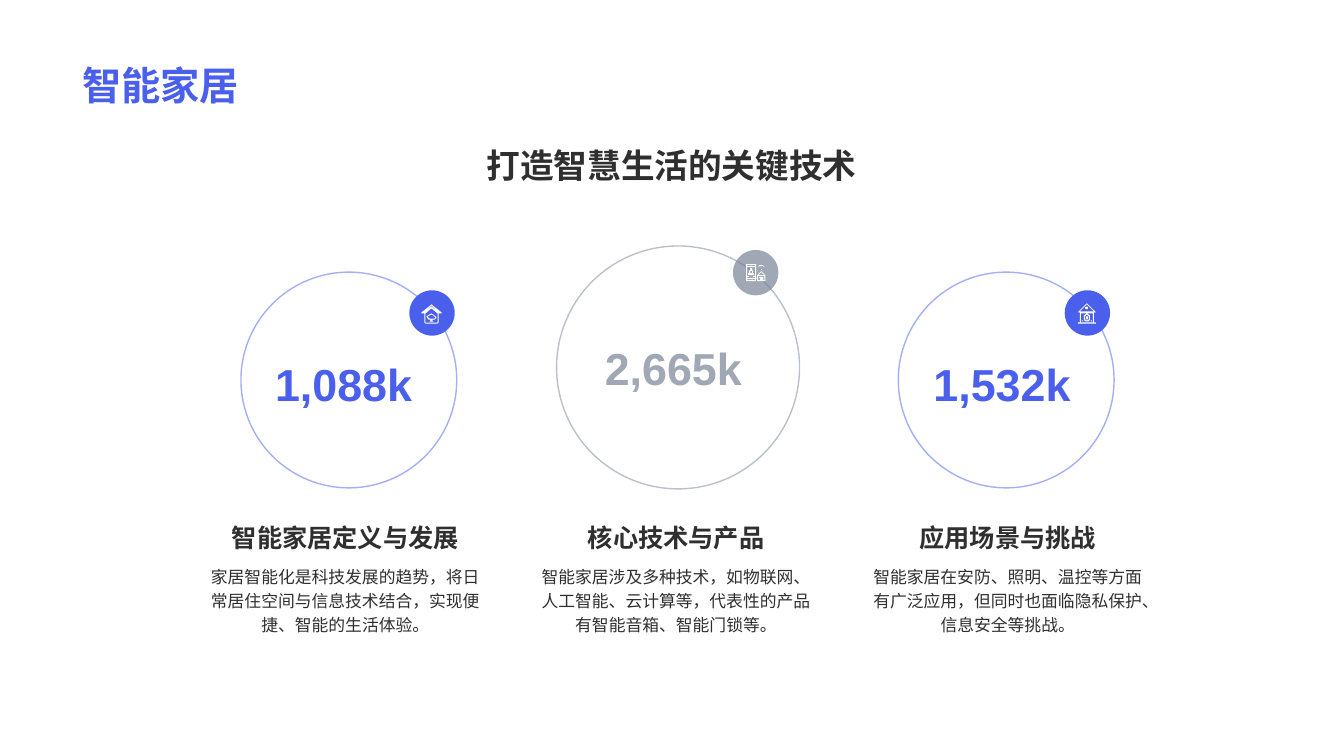
from dataclasses import dataclass

from lxml import etree
from pptx import Presentation
from pptx import util as u
from pptx.dml.color import RGBColor
from pptx.enum import shapes, text
from pptx.oxml.ns import qn

PX = 9144  # EMU in one px, 100 px to the inch
FONT = "Arial"
BLUE, GREY, INK, WHITE = "4A60EC", "778495", "2F2F2F", "FFFFFF"
Outline = list[tuple[int, int]]


def rect(left: int, top: int, right: int, bottom: int) -> Outline:
    return [(left, top), (right, top), (right, bottom), (left, bottom)]


# Icon outlines in px; an outline inside another one is a hole
CLOUD_HOUSE: list[Outline] = [
    [(10, 0), (20, 8), (20, 9), (17, 9), (17, 18), (16, 19), (4, 19),
     (3, 18), (3, 9), (0, 9), (0, 8)],
    [(10, 1), (17, 8), (10, 2), (3, 8)],
    [(10, 4), (16, 9), (16, 18), (4, 18), (4, 9)],
    [(10, 9), (13, 11), (15, 13), (13, 15), (11, 15), (11, 16), (12, 17),
     (8, 17), (9, 16), (9, 15), (7, 15), (5, 12), (8, 10)],
    [(10, 10), (12, 11), (14, 13), (13, 14), (8, 14), (6, 12), (8, 11)],
]
PHONE_AND_HOUSE: list[Outline] = [
    rect(0, 0, 10, 17), rect(1, 1, 9, 2), rect(1, 3, 9, 14), rect(1, 15, 9, 16),
    [(4, 4), (6, 4), (6, 6), (7, 7), (7, 9), (8, 9), (8, 11), (2, 11),
     (2, 9), (3, 9), (3, 7), (4, 6)],
    rect(4, 7, 6, 9), rect(1, 12, 3, 13), rect(7, 12, 9, 13),
    [(15, 7), (19, 11), (19, 17), (11, 17), (11, 11)],
    [(15, 8), (18, 11), (12, 11)],
    [(12, 12), (18, 12), (18, 16), (17, 16), (17, 13), (13, 13), (13, 14),
     (14, 14), (14, 16), (12, 16)],
    [(12, 3), (13, 1), (17, 1), (18, 3), (17, 2), (13, 2)],
    rect(15, 5, 16, 6),
]
WASHER_HOUSE: list[Outline] = [
    [(9, 0), (18, 9), (16, 9), (16, 19), (18, 19), (18, 20), (0, 20),
     (0, 19), (2, 19), (2, 9), (0, 9)],
    [(9, 1), (16, 8), (2, 8)],
    rect(3, 10, 15, 19),
    [(9, 3), (10, 4), (10, 5), (9, 6), (7, 5), (7, 4)],
    [(9, 10), (12, 12), (12, 16), (11, 18), (7, 18), (6, 16), (6, 12)],
    [(9, 11), (11, 13), (11, 16), (9, 17), (7, 16), (7, 13)],
    rect(8, 13, 10, 16), rect(4, 17, 5, 18), rect(13, 17, 14, 18),
]


@dataclass
class Metric:
    ring: tuple[int, int, int]  # left, top, diameter
    badge: tuple[int, int]
    icon_at: tuple[int, int]
    icon: list[Outline]
    number_at: tuple[int, int]
    text_left: int
    color: str
    opacity: int
    number: str
    heading: str
    body: str


METRICS = [
    Metric((239, 270, 214), (406, 288), (418, 302), CLOUD_HOUSE, (263, 349), 193,
           BLUE, 100, "1,088k", "智能家居定义与发展",
           "家居智能化是科技发展的趋势，将日常居住空间与信息技术结合，实现便捷、智能的生活体验。"),
    Metric((552, 244, 241), (727, 248), (740, 262), PHONE_AND_HOUSE, (590, 333), 521,
           GREY, 70, "2,665k", "核心技术与产品",
           "智能家居涉及多种技术，如物联网、人工智能、云计算等，代表性的产品有智能音箱、智能门锁等。"),
    Metric((891, 270, 214), (1056, 288), (1069, 301), WASHER_HOUSE, (916, 349), 850,
           BLUE, 100, "1,532k", "应用场景与挑战",
           "智能家居在安防、照明、温控等方面有广泛应用，但同时也面临隐私保护、信息安全等挑战。"),
]


def paint(fill, color: str, opacity: int = 100) -> None:
    """Set a solid fill, see-through when opacity is below 100."""
    fill.solid()
    fill.fore_color.rgb = RGBColor.from_string(color)
    if opacity < 100:
        tint = next(fill._xPr.iter(qn("a:srgbClr")))
        etree.SubElement(tint, qn("a:alpha")).set("val", str(opacity * 1000))


def add_text(page, left: int, top: int, width: int, height: int, words: str,
             size: int, color: str, *, bold: bool = True, opacity: int = 100,
             align=text.PP_ALIGN.CENTER, anchor=text.MSO_ANCHOR.TOP,
             wrap: bool = True, spacing: float = 1.0) -> None:
    box = page.shapes.add_textbox(left * PX, top * PX, width * PX, height * PX)
    frame = box.text_frame
    frame.word_wrap = wrap
    frame.vertical_anchor = anchor
    frame.text = words
    para = frame.paragraphs[0]
    para.alignment = align
    para.line_spacing = spacing
    span = para.runs[0]
    span.font.name = FONT
    span.font.size = u.Pt(size)
    span.font.bold = bold
    paint(span.font.fill, color, opacity)


def add_circle(page, left: int, top: int, diameter: int):
    circle = page.shapes.add_shape(shapes.MSO_SHAPE.OVAL, left * PX, top * PX,
                                   diameter * PX, diameter * PX)
    circle.shadow.inherit = False
    return circle


def add_icon(page, left: int, top: int, outlines: list[Outline]) -> None:
    builder = page.shapes.build_freeform(*outlines[0][0], scale=PX)
    for index, outline in enumerate(outlines):
        if index:
            builder.move_to(*outline[0])
        builder.add_line_segments(outline[1:], close=True)
    icon = builder.convert_to_shape(left * PX, top * PX)
    icon.shadow.inherit = False
    paint(icon.fill, WHITE)
    icon.line.fill.background()


def add_metric(page, metric: Metric) -> None:
    # Ring with its badge and icon
    ring = add_circle(page, *metric.ring)
    ring.fill.background()
    ring.line.width = u.Pt(1)
    paint(ring.line.fill, metric.color, 50)
    badge = add_circle(page, *metric.badge, 45)
    paint(badge.fill, metric.color, metric.opacity)
    badge.line.fill.background()
    add_icon(page, *metric.icon_at, metric.icon)

    # Number, heading and description
    add_text(page, *metric.number_at, 157, 64, metric.number, 32, metric.color,
             opacity=metric.opacity, align=text.PP_ALIGN.LEFT, wrap=False)
    add_text(page, metric.text_left, 505, 299, 48, metric.heading, 18, INK,
             anchor=text.MSO_ANCHOR.BOTTOM)
    add_text(page, metric.text_left, 553, 299, 111, metric.body, 12, INK,
             bold=False, spacing=1.2)


def main() -> None:
    deck = Presentation()
    deck.slide_width, deck.slide_height = 1333 * PX, 750 * PX
    page = deck.slides.add_slide(deck.slide_layouts[6])

    # Title and subtitle
    add_text(page, 72, 14, 1188, 98, "智能家居", 28, BLUE,
             align=text.PP_ALIGN.LEFT, anchor=text.MSO_ANCHOR.BOTTOM)
    add_text(page, 72, 139, 1188, 75, "打造智慧生活的关键技术", 24, INK)

    for metric in METRICS:
        add_metric(page, metric)
    deck.save("out.pptx")


if __name__ == "__main__":
    main()
